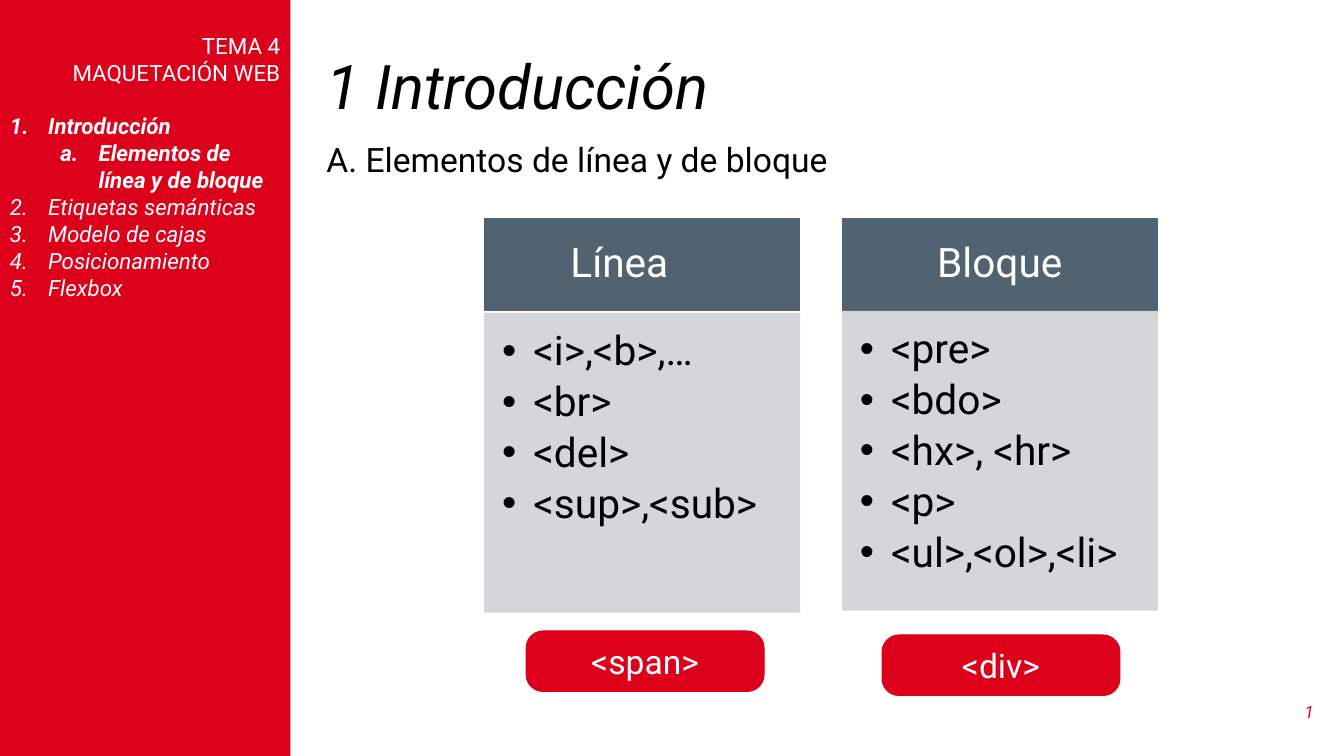
from lxml import etree
from pptx import Presentation
from pptx.dml.color import RGBColor
from pptx.enum.shapes import MSO_SHAPE
from pptx.enum.text import MSO_ANCHOR, MSO_AUTO_SIZE, PP_ALIGN
from pptx.oxml.ns import qn
from pptx.util import Inches, Pt

LEFT, CENTER, RIGHT = PP_ALIGN.LEFT, PP_ALIGN.CENTER, PP_ALIGN.RIGHT
TOP, MIDDLE = MSO_ANCHOR.TOP, MSO_ANCHOR.MIDDLE
RECTANGLE, ROUNDED = MSO_SHAPE.RECTANGLE, MSO_SHAPE.ROUNDED_RECTANGLE
NO_AUTOFIT = MSO_AUTO_SIZE.NONE
COMPARISON_LAYOUT = 4
RED, SLATE, GRAY, WHITE, BLACK = "DC001B", "516270", "D0D3D5", "FFFFFF", "000000"
INSETS = (0.1, 0.05, 0.1, 0.05)


def rgb(value):
    return RGBColor.from_string(value)


class SlideBuilder:
    font_name = "Roboto"

    def __init__(self, deck):
        self.deck = deck
        self.page = deck.slides.add_slide(deck.slide_layouts[COMPARISON_LAYOUT])

    def area(self, left, top, width, height):
        """Turn percentages of the slide into lengths."""
        across, down = self.deck.slide_width / 100, self.deck.slide_height / 100
        return [round(n) for n in (left * across, top * down, width * across, height * down)]

    def placeholder(self, index, *share):
        box = self.page.placeholders[index]
        box.left, box.top, box.width, box.height = self.area(*share)
        return box

    def textbox(self, *share):
        return self.page.shapes.add_textbox(*self.area(*share))

    def shape(self, kind, *share):
        shape = self.page.shapes.add_shape(kind, *self.area(*share))
        shape.shadow.inherit = False
        return shape

    def paint(self, box, color, line=1, opacity=100):
        box.fill.solid()
        box.fill.fore_color.rgb = rgb(color)
        box.line.color.rgb = rgb(color)
        box.line.width = Pt(line)
        if opacity < 100:
            for tint in box._element.spPr.iter(qn("a:srgbClr")):
                etree.SubElement(tint, qn("a:alpha"), val=str(opacity * 1000))

    def frame(self, box, anchor=TOP, insets=INSETS):
        frame = box.text_frame
        sides = dict(zip(("left", "top", "right", "bottom"), insets))
        settings = {"word_wrap": True, "auto_size": NO_AUTOFIT, "vertical_anchor": anchor}
        settings.update({f"margin_{side}": Inches(n) for side, n in sides.items()})
        for name, value in settings.items():
            setattr(frame, name, value)
        return frame

    def mark(self, para, tag, indent, hang, **values):
        properties = para._p.get_or_add_pPr()
        properties.set("marL", str(Inches(indent)))
        properties.set("indent", str(-Inches(hang)))
        etree.SubElement(properties, qn(tag), **values)

    def style(self, font, size, color, bold=False, italic=False):
        values = {"name": self.font_name, "size": Pt(size), "bold": bold, "italic": italic}
        for name, value in values.items():
            setattr(font, name, value)
        font.color.rgb = rgb(color)

    def add_text(self, frame, text, size, color, align=LEFT, spacing=1.0, before=0, after=0,
                 marker=None, level=0, **look):
        para = frame.paragraphs[0]
        if para.runs:
            para = frame.add_paragraph()
        values = {"alignment": align, "line_spacing": spacing, "level": level,
                  "space_before": Pt(before), "space_after": Pt(after)}
        for name, value in values.items():
            setattr(para, name, value)
        if marker:
            self.mark(para, **marker)
        span = para.add_run()
        span.text = text
        self.style(span.font, size, color, **look)
        return span

    def page_number(self, frame, number):
        span = self.add_text(frame, number, 12, RED, RIGHT, italic=True)._r
        field = etree.Element(qn("a:fld"), type="slidenum",
                              id="{B6F15528-21DE-4FAA-801E-634DDDAF4B2B}")
        span.getparent().replace(span, field)
        field.extend(list(span))

    def card(self, left, body_top, first_index, heading, items, heading_right):
        header = self.placeholder(first_index, left, 28.93, 23.4, 12.13)
        self.paint(header, SLATE)
        frame = self.frame(header, MIDDLE, (0.23, 0.13, heading_right, 0.13))
        self.add_text(frame, heading, 29, WHITE, CENTER, 0.9)
        body = self.placeholder(first_index + 1, left, body_top, 23.4, 39.47)
        self.paint(body, GRAY, opacity=90)
        frame = self.frame(body, TOP, (0.17, 0.17, 0.23, 0.25))
        bullet = {"tag": "a:buChar", "indent": 0.31, "hang": 0.31, "char": "•"}
        for item in items:
            self.add_text(frame, item, 29, BLACK, spacing=0.9, after=5, marker=bullet)

    def pill(self, left, top, text):
        pill = self.shape(ROUNDED, left, top, 17.7, 8)
        pill.adjustments[0] = 0.28
        self.paint(pill, RED, 0.75)
        self.add_text(self.frame(pill, MIDDLE), text, 24, WHITE, CENTER)


def main():
    deck = Presentation()
    deck.slide_width, deck.slide_height = Inches(13.33), Inches(7.5)
    slide = SlideBuilder(deck)

    # Title and subtitle
    title = slide.frame(slide.placeholder(0, 23.55, 6.67, 74.93, 10.4), MIDDLE)
    slide.add_text(title, "1 Introducción", 44, BLACK, spacing=0.9, italic=True)
    subtitle = slide.frame(slide.textbox(23.55, 17.73, 55.95, 6.67))
    slide.add_text(subtitle, "A. Elementos de línea y de bloque", 24, BLACK)

    # Sidebar with the outline of the unit
    sidebar = slide.shape(RECTANGLE, 0, 0, 21.6, 100)
    slide.paint(sidebar, RED)
    sidebar.line.fill.background()
    outline = slide.frame(sidebar, TOP, (0.1, 0.32, 0.1, 0.05))
    for heading in ("TEMA 4", "MAQUETACIÓN WEB"):
        slide.add_text(outline, heading, 16, WHITE, RIGHT)
    topics = [("Introducción", 0, True), ("Elementos de línea y de bloque", 1, True),
              ("Etiquetas semánticas", 0, False), ("Modelo de cajas", 0, False),
              ("Posicionamiento", 0, False), ("Flexbox", 0, False)]
    numbering = ("arabicPeriod", "alphaLcPeriod")
    for position, (topic, level, current) in enumerate(topics):
        marker = {"tag": "a:buAutoNum", "indent": 0.38 + 0.5 * level, "hang": 0.38,
                  "type": numbering[level]}
        slide.add_text(outline, topic, 16, WHITE, before=0 if position else 19,
                       marker=marker, level=level, bold=current, italic=True)

    # Comparison cards
    slide.card(36.08, 41.47, 1, "Línea",
               ["<i>,<b>,…", "<br>", "<del>", "<sup>,<sub>"], heading_right=0.68)
    slide.card(62.7, 41.2, 3, "Bloque",
               ["<pre>", "<bdo>", "<hx>, <hr>", "<p>", "<ul>,<ol>,<li>"], heading_right=0.23)

    # Generic element of each kind
    slide.pill(39.15, 83.47, "<span>")
    slide.pill(65.63, 84, "<div>")

    # Page number
    slide.page_number(slide.frame(slide.textbox(94.65, 91.47, 3.83, 5.33), MIDDLE), "4")

    deck.save("out.pptx")


if __name__ == "__main__":
    main()
